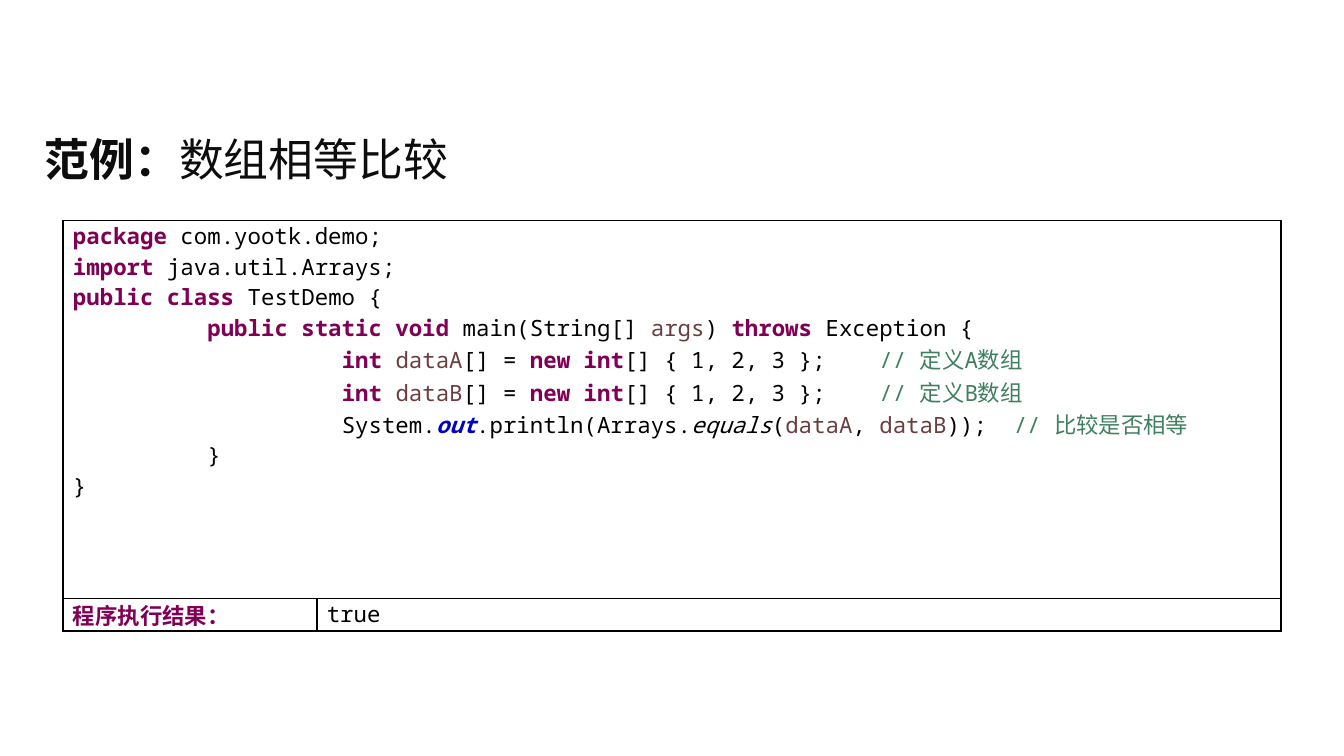
"""Build a slide with a Java array comparison example and its result."""
from lxml.etree import SubElement
from pptx import Presentation
from pptx.dml.color import RGBColor
from pptx.enum.text import MSO_ANCHOR
from pptx.oxml.ns import qn
from pptx.util import Pt

COLORS = {
    "title": "0D0D0D",
    "plain": "000000",
    "keyword": "7F0055",
    "variable": "6A3E3E",
    "comment": "3F7F5F",
    "field": "0000C0",
    "method": "000000",
    "border": "000000",
}
BOLD = {"keyword", "field"}
ITALIC = {"field", "method"}
CODE_FONT = "Noto Sans Mono"
CHINESE_FONT = "Noto Sans CJK SC"
TAB_WIDTH = 72
TAB_COUNT = 7


def array_line(variable, comment):
    return [("\t\t", "plain"), ("int ", "keyword"), (variable, "variable"),
            ("[] = ", "plain"), ("new int", "keyword"),
            ("[] { 1, 2, 3 };\t", "plain"), (comment, "comment")]


CODE = [
    [("package", "keyword"), (" com.yootk.demo;", "plain")],
    [("import", "keyword"), (" java.util.Arrays;", "plain")],
    [("public class", "keyword"), (" TestDemo {", "plain")],
    [("\t", "plain"), ("public static void", "keyword"),
     (" main(String[] ", "plain"), ("args", "variable"), (") ", "plain"),
     ("throws", "keyword"), (" Exception {", "plain")],
    array_line("dataA", "// 定义A数组"),
    array_line("dataB", "// 定义B数组"),
    [("\t\tSystem.", "plain"), ("out", "field"),
     (".println(Arrays.", "plain"), ("equals", "method"), ("(", "plain"),
     ("dataA", "variable"), (", ", "plain"), ("dataB", "variable"),
     ("));\t", "plain"), ("// 比较是否相等", "comment")],
    [("\t}", "plain")],
    [("}", "plain")],
]


def add_run(paragraph, text, color, size, latin, bold=False, italic=False):
    run = paragraph.add_run()
    run.text = text
    font = run.font
    font.size, font.name = Pt(size), latin
    font.bold, font.italic = bold, italic
    font.color.rgb = RGBColor.from_string(COLORS[color])
    SubElement(font._element, qn("a:ea"), typeface=CHINESE_FONT)


def add_title(slide, label, topic):
    title = slide.shapes.add_textbox(Pt(16.8), Pt(62), Pt(686), Pt(46))
    frame = title.text_frame
    frame.word_wrap = True
    frame.vertical_anchor = MSO_ANCHOR.MIDDLE
    paragraph = frame.paragraphs[0]
    add_run(paragraph, label, "title", 24, CHINESE_FONT, bold=True)
    add_run(paragraph, topic, "title", 24, CHINESE_FONT)


def style_cell(cell):
    cell.margin_left = cell.margin_right = Pt(5.4)
    cell.margin_top = cell.margin_bottom = Pt(0)
    properties = cell._tc.get_or_add_tcPr()
    for side in ("a:lnL", "a:lnR", "a:lnT", "a:lnB"):
        border = SubElement(properties, qn(side), w=str(Pt(1)))
        fill = SubElement(border, qn("a:solidFill"))
        SubElement(fill, qn("a:srgbClr"), val=COLORS["border"])
    cell.fill.background()


def set_tabs(paragraph):
    stops = SubElement(paragraph._p.get_or_add_pPr(), qn("a:tabLst"))
    for number in range(1, TAB_COUNT + 1):
        SubElement(stops, qn("a:tab"), pos=str(Pt(number * TAB_WIDTH)), algn="l")


def fill_cell(cell, lines):
    frame = cell.text_frame
    for number, line in enumerate(lines):
        paragraph = frame.add_paragraph() if number else frame.paragraphs[0]
        if any("\t" in text for text, _ in line):
            set_tabs(paragraph)
        for text, role in line:
            add_run(paragraph, text, role, 12, CODE_FONT, role in BOLD, role in ITALIC)


def add_listing(slide):
    frame = slide.shapes.add_table(2, 2, Pt(33.7), Pt(118.2), Pt(652.6), Pt(219.8))
    listing = frame.table
    listing.first_row = listing.horz_banding = False
    for column, width in zip(listing.columns, (136, 516.6)):
        column.width = Pt(width)
    for row, height in zip(listing.rows, (202.4, 17.4)):
        row.height = Pt(height)
    for cell in listing.iter_cells():
        style_cell(cell)
    listing.cell(0, 0).merge(listing.cell(0, 1))
    fill_cell(listing.cell(0, 0), CODE)
    fill_cell(listing.cell(1, 0), [[("程序执行结果：", "keyword")]])
    fill_cell(listing.cell(1, 1), [[("true", "plain")]])


def main():
    presentation = Presentation()
    presentation.slide_width, presentation.slide_height = Pt(720), Pt(405)
    slide = presentation.slides.add_slide(presentation.slide_layouts[6])
    add_title(slide, "范例：", "数组相等比较")
    add_listing(slide)
    presentation.save("out.pptx")


if __name__ == "__main__":
    main()
